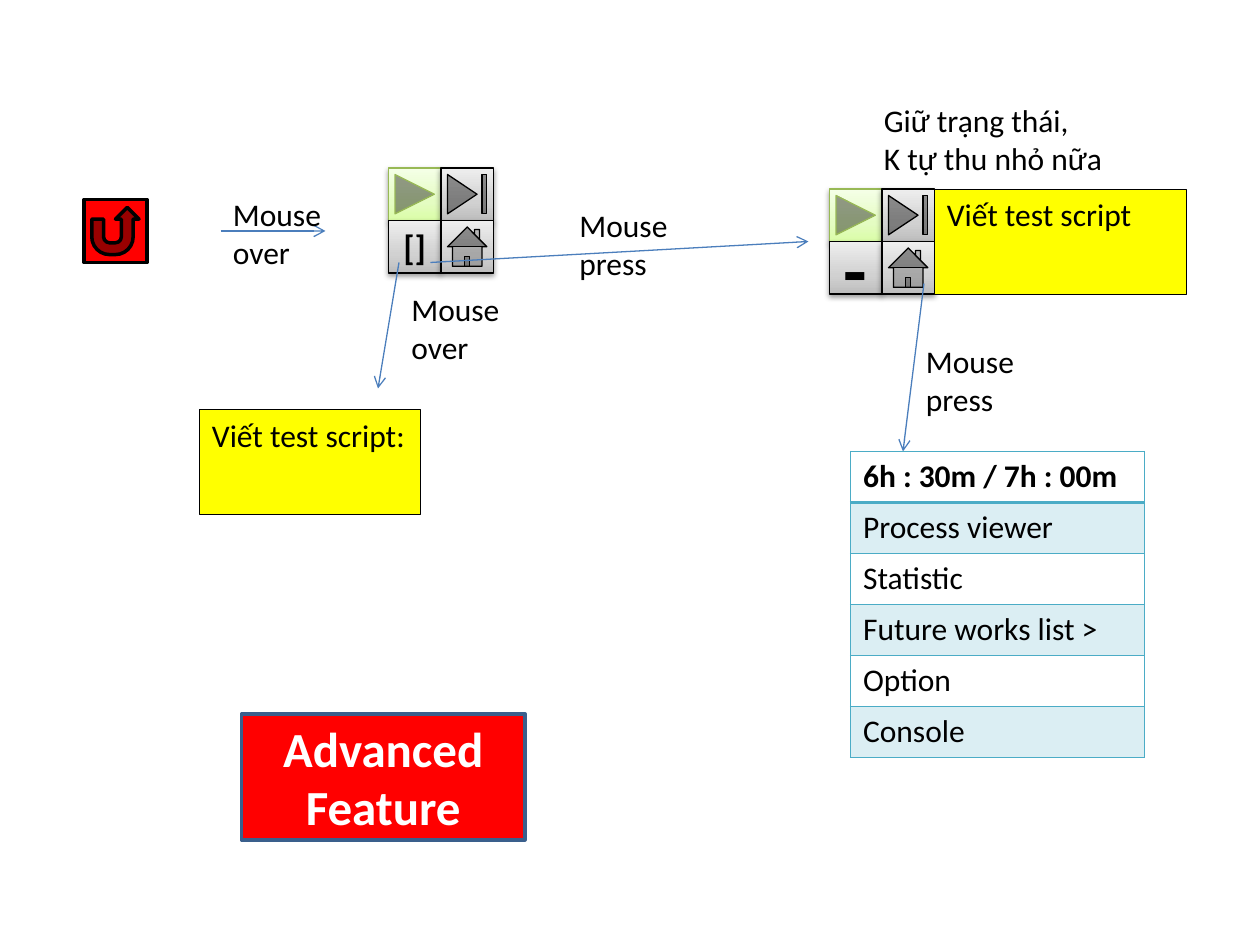
from lxml import etree
from pptx import Presentation
from pptx import util as u
from pptx.dml.color import RGBColor
from pptx.enum import shapes, text
from pptx.oxml.ns import qn

FONT = "Calibri"
BLACK = RGBColor(0x00, 0x00, 0x00)
WHITE = RGBColor(0xFF, 0xFF, 0xFF)
RED = RGBColor(0xFF, 0x00, 0x00)
YELLOW = RGBColor(0xFF, 0xFF, 0x00)
NAVY = RGBColor(0x3A, 0x5F, 0x8C)
ARROW_BLUE = RGBColor(0x4B, 0x7E, 0xBC)
TEAL = RGBColor(0x4B, 0xAC, 0xC6)
GREEN = RGBColor(0x98, 0xB9, 0x55)
GREEN_STOPS = [RGBColor(0xDA, 0xFD, 0xA7), RGBColor(0xE4, 0xFC, 0xC2), RGBColor(0xF5, 0xFF, 0xE7)]
GREY_STOPS = [RGBColor(0xBD, 0xBD, 0xBD), RGBColor(0xD1, 0xD1, 0xD1), RGBColor(0xEE, 0xEE, 0xEE)]
STOP_POSITIONS = [0, 35, 100]

KEY = 5  # side of one keypad button, in grid units
SHAPE = shapes.MSO_SHAPE
CENTER = text.PP_ALIGN.CENTER
TOP, MIDDLE = text.MSO_ANCHOR.TOP, text.MSO_ANCHOR.MIDDLE
MENU = ["6h : 30m / 7h : 00m", "Process viewer", "Statistic",
        "Future works list >", "Option", "Console"]


def grid(*units):
    """Lengths on the slide's grid of 120 columns by 90 rows, 1/12 inch each."""
    return [u.Inches(unit / 12) for unit in units]


def add_xml(parent, tag, **attributes):
    return etree.SubElement(parent, qn(tag), {name: str(value) for name, value in attributes.items()})


def write(frame, content, size=18, color=BLACK, bold=False, align=None, anchor=TOP):
    """Fill a text frame, one paragraph a line."""
    frame.vertical_anchor = anchor
    for index, line in enumerate(content.split("\n")):
        para = frame.add_paragraph() if index else frame.paragraphs[0]
        para.alignment = align or text.PP_ALIGN.LEFT
        span = para.add_run()
        span.text = line
        span.font.name = FONT
        span.font.size = u.Pt(size)
        span.font.bold = bold
        span.font.color.rgb = color


def add_box(parent, kind, place, fill, line, width):
    """Add a flat preset shape; fill None leaves the fill to the caller."""
    box = parent.add_shape(kind, *grid(*place))
    box.shadow.inherit = False
    if fill is not None:
        box.fill.solid()
        box.fill.fore_color.rgb = fill
    box.line.color.rgb = line
    box.line.width = u.Pt(width)
    return box


def add_key(parent, kind, left, top, stops=GREY_STOPS, line=BLACK):
    """Add a keypad button with a vertical gradient and a soft shadow."""
    key = add_box(parent, kind, (left, top, KEY, KEY), None, line, 0.75)
    key.fill.gradient()
    key.fill.gradient_angle = 90
    properties = key._element.spPr
    stop_list = properties.find(".//" + qn("a:gsLst"))
    stop_list.clear()
    for position, color in zip(STOP_POSITIONS, stops):
        stop = add_xml(stop_list, "a:gs", pos=position * 1000)
        add_xml(stop, "a:srgbClr", val=color)
    shadow = add_xml(properties.find(qn("a:effectLst")), "a:outerShdw", blurRad=u.Pt(3.1),
                     dist=u.Pt(1.6), dir=90 * 60000, rotWithShape=0)
    add_xml(add_xml(shadow, "a:srgbClr", val=BLACK), "a:alpha", val=38000)
    return key


def add_keypad(parent, left, top, symbol, size):
    add_key(parent, SHAPE.ACTION_BUTTON_FORWARD_OR_NEXT, left, top, GREEN_STOPS, GREEN)
    add_key(parent, SHAPE.ACTION_BUTTON_END, left + KEY, top)
    symbol_key = add_key(parent, SHAPE.RECTANGLE, left, top + KEY)
    write(symbol_key.text_frame, symbol, size=size, bold=True, align=CENTER, anchor=MIDDLE)
    add_key(parent, SHAPE.ACTION_BUTTON_HOME, left + KEY, top + KEY)


def add_arrow(page, start, end):
    arrow = page.shapes.add_connector(shapes.MSO_CONNECTOR.STRAIGHT, *grid(*start, *end))
    arrow.line.color.rgb = ARROW_BLUE
    arrow.line.width = u.Pt(0.75)
    add_xml(arrow.line._get_or_add_ln(), "a:tailEnd", type="arrow")
    add_xml(arrow._element.spPr, "a:effectLst")


def add_label(page, left, top, content, width=11.6):
    label = page.shapes.add_textbox(*grid(left, top, width, 8.5))
    label.text_frame.word_wrap = False
    label.text_frame.auto_size = text.MSO_AUTO_SIZE.SHAPE_TO_FIT_TEXT
    write(label.text_frame, content)


def add_note(page, left, top, width, content):
    note = add_box(page.shapes, SHAPE.RECTANGLE, (left, top, width, 10), YELLOW, BLACK, 0.25)
    write(note.text_frame, content)


def set_borders(cell, **widths):
    for side, width in widths.items():
        border = add_xml(cell._tc.get_or_add_tcPr(), "a:ln" + side, w=u.Pt(width))
        add_xml(add_xml(border, "a:solidFill"), "a:srgbClr", val=TEAL)


def add_menu(page, left, top, width):
    """Add the one-column menu: bold header, every second row tinted."""
    row_height = u.Inches(0.405)
    frame = page.shapes.add_table(len(MENU), 1, *grid(left, top, width), row_height * len(MENU))
    table = frame.table
    table.first_row = table.horz_banding = False
    for index, entry in enumerate(MENU):
        table.rows[index].height = row_height
        cell = table.cell(index, 0)
        set_borders(cell, L=1, R=1, T=2 if index == 1 else 1, B=2 if index == 0 else 1)
        if index % 2:
            cell.fill.solid()
            cell.fill.fore_color.rgb = TEAL
            tint = cell._tc.tcPr.find(qn("a:solidFill")).find(qn("a:srgbClr"))
            add_xml(tint, "a:alpha", val=20000)
        else:
            cell.fill.background()
        write(cell.text_frame, entry, bold=index == 0)


def main():
    deck = Presentation()
    deck.slide_width, deck.slide_height = grid(120, 90)
    page = deck.slides.add_slide(deck.slide_layouts[6])

    add_box(page.shapes, SHAPE.ACTION_BUTTON_RETURN, (8, 19, 6, 6), RED, BLACK, 2)
    add_keypad(page.shapes, 37, 16, "[]", 20)
    add_keypad(page.shapes.add_group_shape().shapes, 79, 18, "-", 44)

    add_arrow(page, (21, 22), (31, 22))
    add_label(page, 21, 18, "Mouse\nover")
    add_arrow(page, (38, 25), (36, 37))
    add_label(page, 38, 27, "Mouse\nover")
    add_note(page, 19, 39, 21, "Viết test script:")
    add_arrow(page, (41, 25), (77, 23))
    add_label(page, 54, 19, "Mouse\npress")
    add_note(page, 89, 18, 24, "Viết test script")
    add_label(page, 83, 9, "Giữ trạng thái,\nK tự thu nhỏ nữa", width=23.5)
    add_arrow(page, (88, 27), (86, 43))
    add_label(page, 87, 32, "Mouse\npress")
    add_menu(page, 81, 43, 28)

    feature = add_box(page.shapes, SHAPE.RECTANGLE, (23, 68, 27, 12), RED, NAVY, 2)
    write(feature.text_frame, "Advanced Feature", size=28, color=WHITE, bold=True,
          align=CENTER, anchor=MIDDLE)
    deck.save("out.pptx")


if __name__ == "__main__":
    main()
